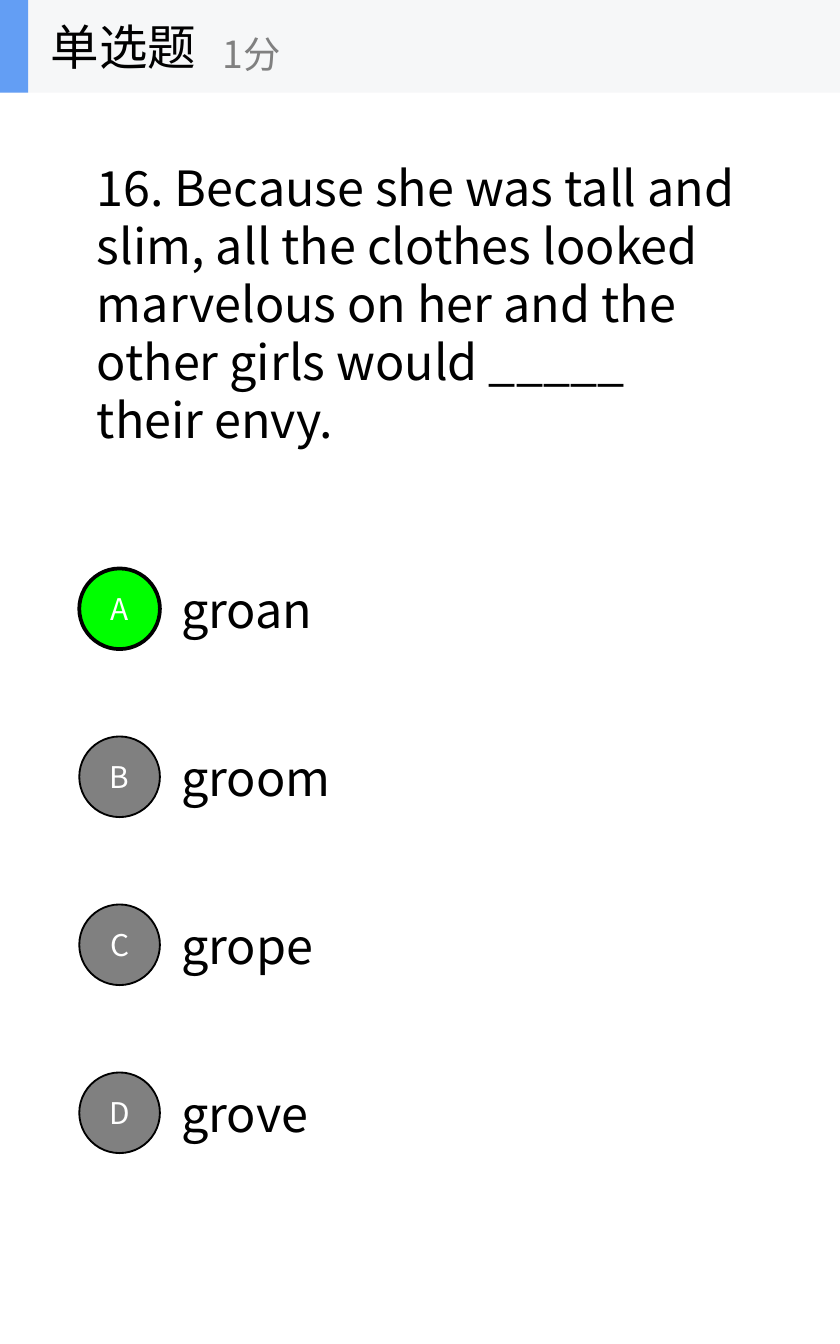
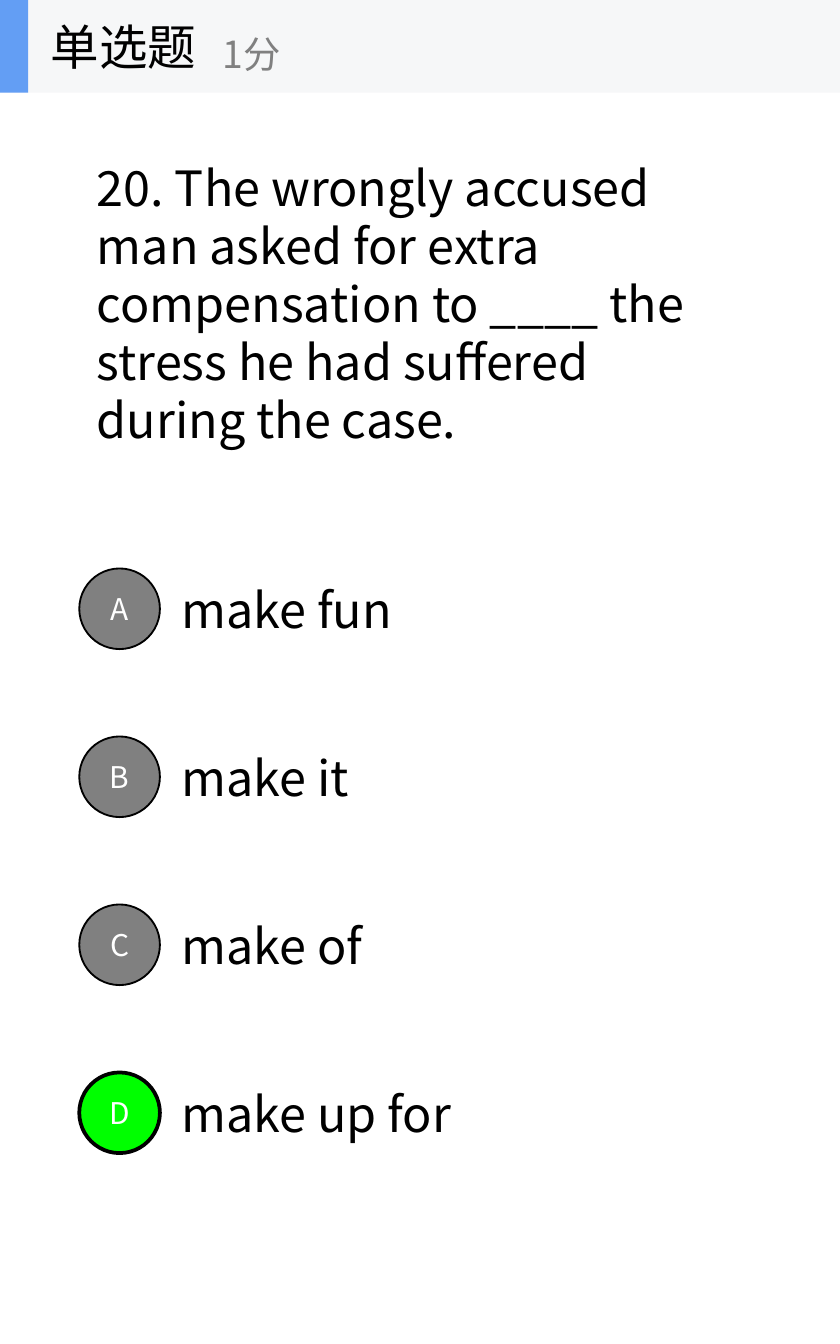
from pptx import Presentation
from pptx.dml.color import RGBColor
from pptx.enum.shapes import MSO_SHAPE as SHAPE
from pptx.enum.text import MSO_ANCHOR as ANCHOR, MSO_AUTO_SIZE as AUTO, PP_ALIGN as ALIGN
from pptx.oxml.ns import qn
from pptx.util import Inches, Pt

FONT = "Noto Sans CJK SC"
BLACK, WHITE, GRAY, GREEN = "000000", "FFFFFF", "808080", "00FF00"
BAND, ACCENT = "F6F7F8", "639EF4"
BAND_HEIGHT = 0.69
FIRST_OPTION, OPTION_STEP, BADGE = 4.23, 1.25, 0.6

QUESTIONS = [
    ("16. Because she was tall and slim, all the clothes looked marvelous on her "
     "and the other girls would _____ their envy.", 4.99,
     [("groan", 2.45), ("groom", 1.86), ("grope", 1.62), ("grove", 1.98)], "A"),
    ("20. The wrongly accused man asked for extra compensation to ____ the stress "
     "he had suffered during the case.", 4.89,
     [("make fun", 3.6), ("make it", 3.6), ("make of", 3.72), ("make up for", 4.1)], "D"),
]


def rgb(value):
    return RGBColor.from_string(value)


class QuizDeck:
    def __init__(self):
        self.prs = Presentation()
        self.prs.slide_width, self.prs.slide_height = Inches(6.25), Inches(10)
        self.slide = None

    def new_slide(self):
        self.slide = self.prs.slides.add_slide(self.prs.slide_layouts[5])

    def set_text(self, sp, text, size=26, color=BLACK, align=ALIGN.LEFT, wrap=True, auto=AUTO.NONE):
        tf = sp.text_frame
        tf.text = text
        tf.word_wrap = wrap
        tf.auto_size = auto
        tf.vertical_anchor = ANCHOR.MIDDLE
        p = tf.paragraphs[0]
        p.alignment = align
        r = p.runs[0]
        r.font.name, r.font.size = FONT, Pt(size)
        r.font.color.rgb = rgb(color)
        r_pr = r._r.get_or_add_rPr()
        ea = r_pr.makeelement(qn("a:ea"), {"typeface": FONT})
        r_pr.find(qn("a:latin")).addnext(ea)

    def shape(self, shapes, kind, box, fill, line_width=0):
        sp = shapes.add_shape(kind, *map(Inches, box))
        sp.shadow.inherit = False
        sp.fill.solid()
        sp.fill.fore_color.rgb = rgb(fill)
        if line_width:
            sp.line.color.rgb = rgb(BLACK)
            sp.line.width = Pt(line_width)
        else:
            sp.line.fill.background()
        return sp

    def label(self, shapes, box, text, **style):
        self.set_text(shapes.add_textbox(*map(Inches, box)), text, **style)

    def question(self, text, width):
        title = self.slide.shapes.title
        title.left, title.top, title.width, title.height = map(Inches, (0.62, 1.11, width, 2.29))
        self.set_text(title, text, auto=AUTO.SHAPE_TO_FIT_TEXT)

    def option(self, letter, text, top, width, correct):
        shapes = self.slide.shapes
        self.label(shapes, (1.25, top + 0.03, width, 0.54), text, auto=AUTO.SHAPE_TO_FIT_TEXT)
        fill, line_width = (GREEN, 2) if correct else (GRAY, 1)
        badge = self.shape(shapes, SHAPE.OVAL, (0.59, top, BADGE, BADGE), fill, line_width)
        self.set_text(badge, letter, 16, WHITE, ALIGN.CENTER)

    def header(self):
        shapes = self.slide.shapes.add_group_shape().shapes
        self.shape(shapes, SHAPE.RECTANGLE, (0, 0, 6.25, BAND_HEIGHT), BAND)
        self.shape(shapes, SHAPE.RECTANGLE, (0, 0, 0.21, BAND_HEIGHT), ACCENT)
        self.label(shapes, (0.28, 0, 2.08, BAND_HEIGHT), "单选题", wrap=False)
        self.label(shapes, (1.56, 0.12, 2.5, 0.56), "1分", size=20, color=GRAY, wrap=False)


def main():
    deck = QuizDeck()
    for text, width, options, answer in QUESTIONS:
        deck.new_slide()
        deck.question(text, width)
        for i, (letter, (choice, choice_width)) in enumerate(zip("ABCD", options)):
            top = FIRST_OPTION + i * OPTION_STEP
            deck.option(letter, choice, top, choice_width, letter == answer)
        deck.header()
    deck.prs.save("out.pptx")


if __name__ == "__main__":
    main()
